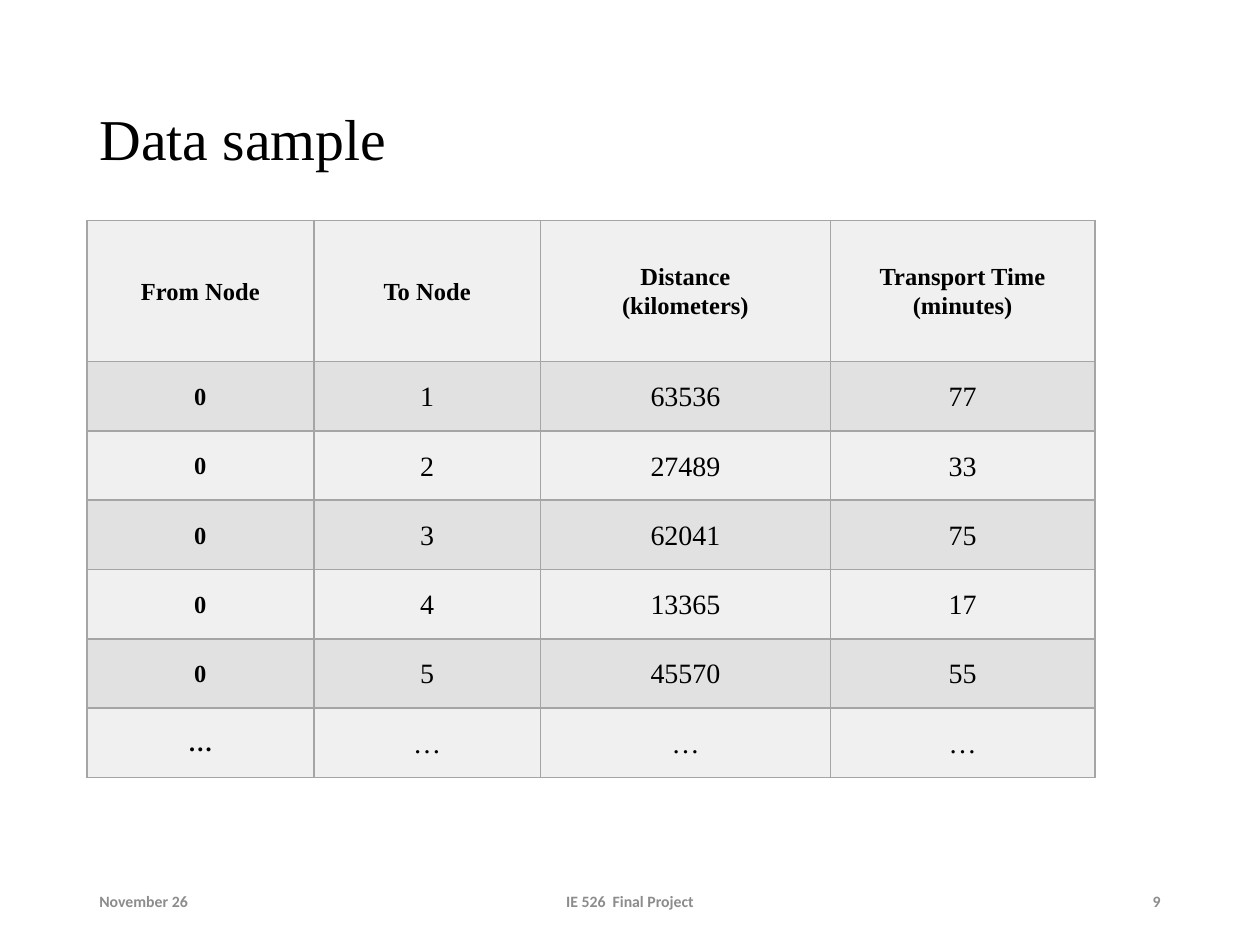
"""Build the data sample slide: a title, a node distance table and a footer."""
from lxml import etree
from pptx import Presentation
from pptx.dml.color import RGBColor
from pptx.enum.text import MSO_ANCHOR, PP_ALIGN
from pptx.oxml.ns import qn
from pptx.util import Inches, Pt

LEFT, CENTER, RIGHT = PP_ALIGN.LEFT, PP_ALIGN.CENTER, PP_ALIGN.RIGHT
MIDDLE = MSO_ANCHOR.MIDDLE
BLACK = RGBColor(0x00, 0x00, 0x00)
GRAY = RGBColor(0x8C, 0x8C, 0x8C)
LIGHT = RGBColor(0xF0, 0xF0, 0xF0)
DARK = RGBColor(0xE1, 0xE1, 0xE1)
BORDER = RGBColor(0xA5, 0xA5, 0xA5)
SERIF, SANS = "Times New Roman", "Calibri"
MARGIN = 0.69
COLS = [1.8, 1.8, 2.3, 2.1]
ROWS = [1.12] + [0.55] * 6
DATA = [
    ["From Node", "To Node", "Distance\n(kilometers)", "Transport Time\n(minutes)"],
    ["0", "1", "63536", "77"],
    ["0", "2", "27489", "33"],
    ["0", "3", "62041", "75"],
    ["0", "4", "13365", "17"],
    ["0", "5", "45570", "55"],
    ["…"] * 4,
]
FOOTER = [
    ("November 26", MARGIN, 2.25, LEFT),
    ("IE 526  Final Project", 3.31, 3.38, CENTER),
    ("9", 7.06, 2.25, RIGHT),
]


def style(p, name, size, color, bold, align):
    p.font.name, p.font.size, p.font.bold = name, Pt(size), bold
    p.font.color.rgb = color
    p.alignment = align


def add_borders(cell):
    tcPr = cell._tc.get_or_add_tcPr()
    for i, side in enumerate(("a:lnL", "a:lnR", "a:lnT", "a:lnB")):
        ln = etree.Element(qn(side), w=str(Pt(1)))
        fill = etree.SubElement(ln, qn("a:solidFill"))
        etree.SubElement(fill, qn("a:srgbClr"), val=str(BORDER))
        tcPr.insert(i, ln)


prs = Presentation()
prs.slide_width, prs.slide_height = Inches(10), Inches(7.5)
s = prs.slides.add_slide(prs.slide_layouts[5])

title = s.shapes.title
title.left, title.top = Inches(MARGIN), Inches(0.4)
title.width, title.height = Inches(8.62), Inches(1.45)
tf = title.text_frame
tf.text = "Data sample"
tf.vertical_anchor = MIDDLE
p = tf.paragraphs[0]
p.line_spacing = 0.9
style(p, SERIF, 33, BLACK, False, LEFT)

table = s.shapes.add_table(
    len(ROWS), len(COLS), Inches(MARGIN), Inches(1.75),
    Inches(sum(COLS)), Inches(sum(ROWS))).table
for col, width in zip(table.columns, COLS):
    col.width = Inches(width)
for row, height in zip(table.rows, ROWS):
    row.height = Inches(height)

for i, values in enumerate(DATA):
    for j, value in enumerate(values):
        cell = table.cell(i, j)
        cell.text = value
        cell.vertical_anchor = MIDDLE
        cell.margin_left = cell.margin_right = Inches(0.07)
        cell.margin_top = cell.margin_bottom = 0
        cell.fill.solid()
        cell.fill.fore_color.rgb = DARK if i % 2 else LIGHT
        add_borders(cell)
        heading = i == 0 or j == 0
        for p in cell.text_frame.paragraphs:
            p.line_spacing = 1.07
            style(p, SERIF, 14 if heading else 16, BLACK, heading, CENTER)

for text, left, width, align in FOOTER:
    tf = s.shapes.add_textbox(
        Inches(left), Inches(6.95), Inches(width), Inches(0.4)).text_frame
    tf.word_wrap = True
    tf.vertical_anchor = MIDDLE
    tf.text = text
    style(tf.paragraphs[0], SANS, 9, GRAY, True, align)

prs.save("out.pptx")
